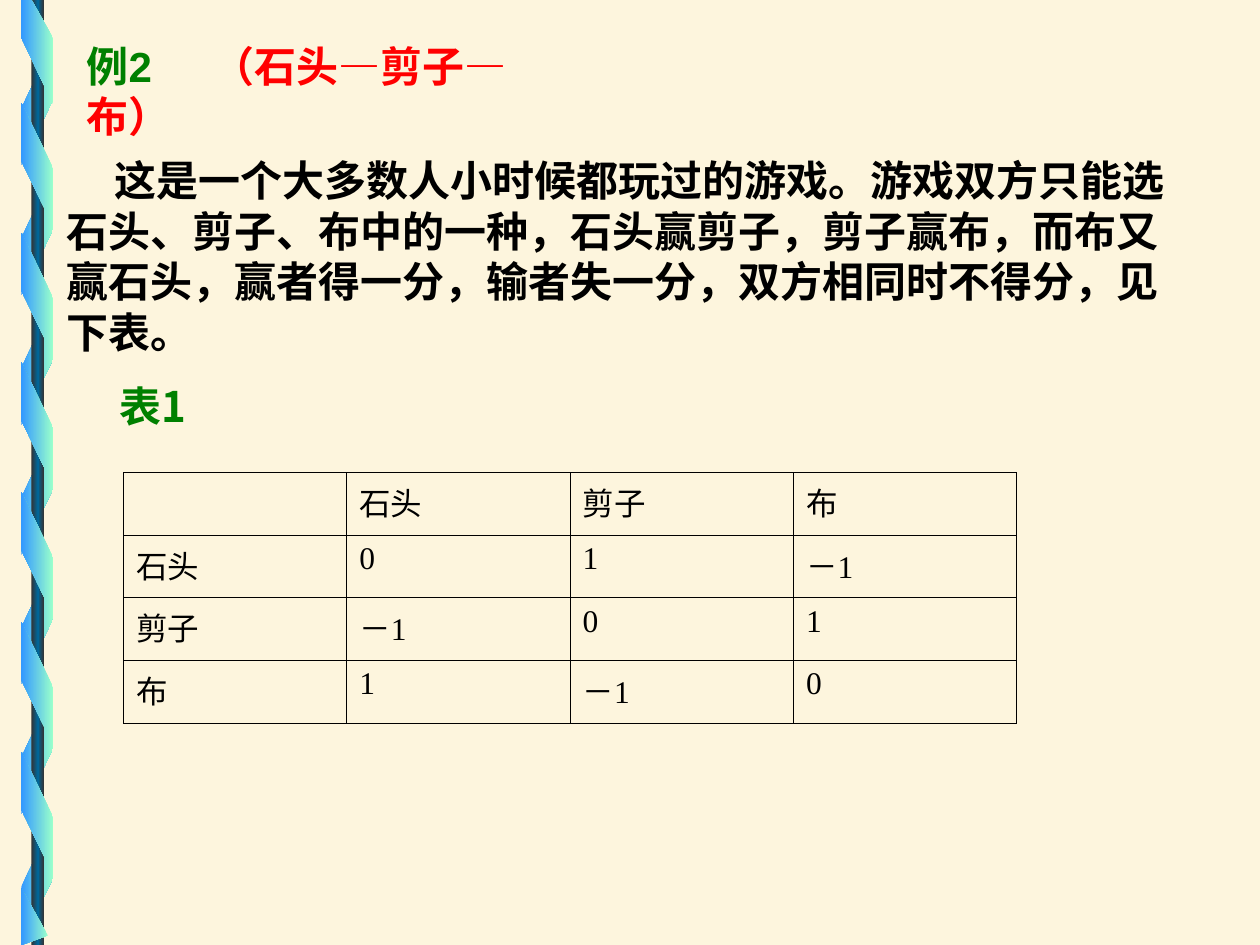
from lxml import etree
from pptx import Presentation
from pptx.dml.color import RGBColor
from pptx.enum.shapes import MSO_SHAPE
from pptx.enum.text import MSO_ANCHOR, MSO_AUTO_SIZE
from pptx.oxml.ns import qn
from pptx.util import Inches, Pt

PARALLELOGRAM, RECT = MSO_SHAPE.PARALLELOGRAM, MSO_SHAPE.RECTANGLE
MIDDLE = MSO_ANCHOR.MIDDLE
GROW = MSO_AUTO_SIZE.SHAPE_TO_FIT_TEXT
WIDTH, HEIGHT = Inches(10), Inches(7.5)
COLORS = {
    "paper": "FDF5DD", "blue": "3399FF", "mint": "99FFCC", "dark": "333333",
    "teal": "006699", "green": "008000", "red": "FF0000", "black": "000000",
}
CJK = "Noto Sans CJK SC"
SERIF = "Times New Roman"


def rgb(name):
    return RGBColor.from_string(COLORS[name])


def area(x, y, w, h):
    """Turn percentages of the slide into a box."""
    return (int(WIDTH * x / 100), int(HEIGHT * y / 100),
            int(WIDTH * w / 100), int(HEIGHT * h / 100))


def style_run(r, size, font, color, bold=False):
    r.font.size, r.font.name, r.font.bold = Pt(size), font, bold
    r.font.color.rgb = rgb(color)
    ea = etree.SubElement(r.font._element, qn("a:ea"))
    ea.set("typeface", CJK)


def paint_gradient(sp, names):
    """Run the colours across the slide, whatever the shape's rotation."""
    sp.shadow.inherit = False
    sp.line.fill.background()
    sp.fill.gradient()
    sp.fill.gradient_angle = 180
    grad = sp._element.spPr.find(qn("a:gradFill"))
    grad.set("rotWithShape", "0")
    stops = grad.find(qn("a:gsLst"))
    for old in list(stops):
        stops.remove(old)
    for i, name in enumerate(names):
        gs = etree.SubElement(stops, qn("a:gs"))
        gs.set("pos", str(100000 * i // (len(names) - 1)))
        etree.SubElement(gs, qn("a:srgbClr")).set("val", COLORS[name])


def add_strand(s, box, first, count, turn, colors, slant):
    """Stack evenly spaced slanted bands; first is the centre of the top one."""
    x, y, w, h = box
    length, pitch = int(h * 0.13), h * 0.1373
    for i in range(count):
        centre = y + h * first + i * pitch
        sp = s.shapes.add_shape(PARALLELOGRAM, x + (w - length) // 2,
                                int(centre - w / 2), length, w)
        sp.adjustments[0] = slant
        sp.rotation = turn
        if turn == 90:
            sp._element.spPr.find(qn("a:xfrm")).set("flipH", "1")
        paint_gradient(sp, colors)


def add_ribbon(s, box):
    x, y, w, h = box
    front = ["mint", "blue"]
    # Back strand, pole, front strand
    add_strand(s, box, 0.11, 7, 90, front[::-1], 2.08)
    pole = s.shapes.add_shape(RECT, x + int(w * 0.32), y, int(w * 0.4), h)
    paint_gradient(pole, ["dark", "teal", "dark"])
    add_strand(s, box, 0.174, 6, 270, front, 2.06)
    # Cut ends of the front strand, as shares of the ribbon
    ends = [
        [(0, 0), (0, 0.04), (1, 0.11), (1, 0.04), (0.32, 0)],
        [(0.84, 0.99), (0, 0.94), (0, 1)],
    ]
    for outline in ends:
        points = [(int(x + w * u), int(y + h * v)) for u, v in outline]
        fb = s.shapes.build_freeform(*points[0])
        fb.add_line_segments(points[1:], close=True)
        paint_gradient(fb.convert_to_shape(), front)


def add_text(s, box, runs, font, wrap=False, indent=0, tab=None):
    tf = s.shapes.add_textbox(*box).text_frame
    tf.word_wrap, tf.auto_size, tf.vertical_anchor = wrap, GROW, MIDDLE
    tf.margin_top, tf.margin_bottom = Inches(0.08), Inches(0.02)
    p = tf.paragraphs[0]
    p.line_spacing = Pt(28.8)
    pPr = p._p.get_or_add_pPr()
    pPr.set("marL", "0")
    pPr.set("indent", str(Inches(indent)))
    if tab:
        stop = etree.SubElement(etree.SubElement(pPr, qn("a:tabLst")), qn("a:tab"))
        stop.set("pos", str(Inches(tab)))
        stop.set("algn", "l")
    for text, color in runs:
        r = p.add_run()
        r.text = text
        style_run(r, 24, font, color, bold=True)


def add_border(cell):
    tcPr = cell._tc.get_or_add_tcPr()
    for i, side in enumerate(("a:lnL", "a:lnR", "a:lnT", "a:lnB")):
        ln = etree.Element(qn(side))
        ln.set("w", str(Pt(0.45)))
        fill = etree.SubElement(ln, qn("a:solidFill"))
        etree.SubElement(fill, qn("a:srgbClr")).set("val", COLORS["black"])
        tcPr.insert(i, ln)


def add_payoffs(s, box):
    moves = ["石头", "剪子", "布"]
    scores = [["0", "1", "－1"], ["－1", "0", "1"], ["1", "－1", "0"]]
    rows = [[""] + moves] + [[m] + line for m, line in zip(moves, scores)]
    table = s.shapes.add_table(len(rows), len(rows[0]), *box).table
    table.first_row = table.horz_banding = False
    for i, row in enumerate(rows):
        for j, text in enumerate(row):
            cell = table.cell(i, j)
            cell.fill.background()
            add_border(cell)
            cell.text = text
            for r in cell.text_frame.paragraphs[0].runs:
                style_run(r, 18, SERIF, "black")


def main():
    prs = Presentation()
    prs.slide_width, prs.slide_height = WIDTH, HEIGHT
    s = prs.slides.add_slide(prs.slide_layouts[6])
    s.background.fill.solid()
    s.background.fill.fore_color.rgb = rgb("paper")

    add_ribbon(s, area(1.7, 0, 2.5, 100))
    # Heading
    add_text(s, area(5.9, 5.87, 40.6, 6.67),
             [("例2\t", "green"), ("（石头—剪子—布）", "red")], "Arial", tab=0.87)
    # Rules of the game
    add_text(s, area(4.3, 15.33, 90.6, 22.67),
             [("这是一个大多数人小时候都玩过的游戏。游戏双方只能选石头、剪子、布中的一种，"
               "石头赢剪子，剪子赢布，而布又赢石头，赢者得一分，输者失一分，"
               "双方相同时不得分，见下表。", "black")], SERIF, wrap=True, indent=0.38)
    # Table with its caption
    add_text(s, area(8.5, 39.2, 8.1, 6.67), [("表1", "green")], CJK)
    add_payoffs(s, area(9.8, 50, 70.9, 26.53))
    prs.save("out.pptx")


if __name__ == "__main__":
    main()
